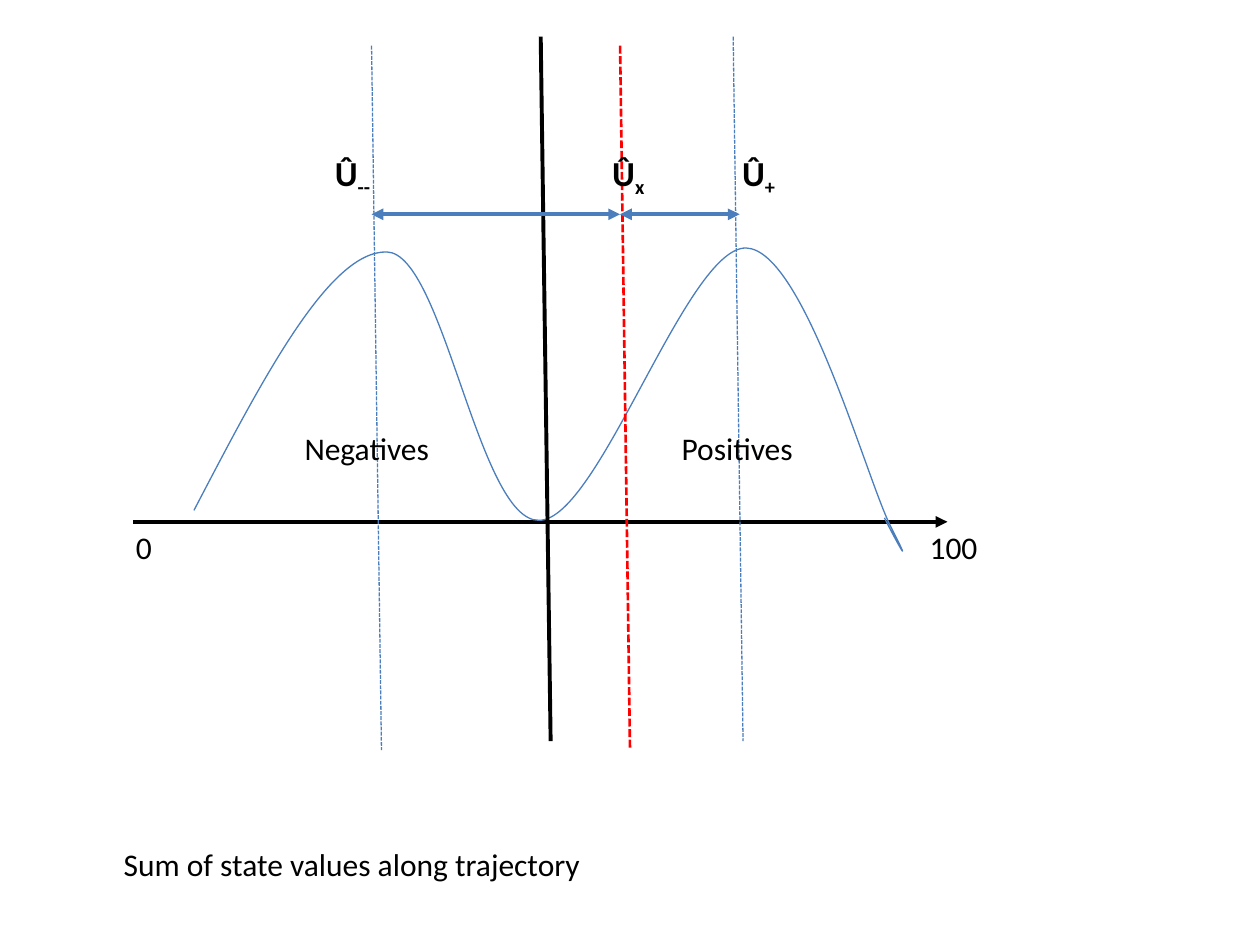
from lxml.etree import SubElement as Sub
from pptx import Presentation
from pptx.dml.color import RGBColor as Rgb
from pptx.enum.dml import MSO_LINE as Dash
from pptx.enum.shapes import MSO_CONNECTOR as Link
from pptx.enum.text import MSO_AUTO_SIZE as Auto, PP_ALIGN as Align
from pptx.oxml.ns import qn
from pptx.util import Cm, Pt

HUES = {"ink": "000000", "blue": "4B7EBC", "red": "FF0000"}
FACE = "Calibri"
CURVE = [
    (1.22, 9.55),
    (2.59, 6.93), (3.94, 4.31), (5.11, 4.34),
    (6.25, 4.37), (6.96, 9.78), (8.18, 9.75),
    (9.38, 9.75), (11.15, 4.24), (12.35, 4.26),
    (13.52, 4.29), (14.79, 8.96), (15.27, 9.88),
    (15.73, 10.79), (15.42, 10.26), (15.14, 9.7),
]


def hue(name):
    return Rgb.from_string(HUES[name])


def style(font, size, bold=False):
    font.name, font.size, font.bold = FACE, Pt(size), bold
    font.color.rgb = hue("ink")


def stroke(shape, color, width, dash=None):
    shape.line.color.rgb = hue(color)
    shape.line.width = Pt(width)
    if dash:
        shape.line.dash_style = dash


def add_line(shapes, start, end, color, width, dash=None, tips=()):
    link = shapes.add_connector(Link.STRAIGHT, *map(Cm, start + end))
    stroke(link, color, width, dash)
    props = link._element.spPr
    for tip in tips:
        Sub(props.find(qn("a:ln")), qn("a:" + tip), type="triangle")
    Sub(props, qn("a:effectLst"))


def add_text(shapes, left, top, width, height=1.02):
    frame = shapes.add_textbox(*map(Cm, (left, top, width, height))).text_frame
    frame.word_wrap = True
    frame.auto_size = Auto.SHAPE_TO_FIT_TEXT
    return frame.paragraphs[0]


def add_plain(shapes, text, left, top, width, align=Align.LEFT):
    para = add_text(shapes, left, top, width)
    para.text, para.alignment = text, align
    style(para.font, 18)


def add_mean(shapes, sub, left, top):
    para = add_text(shapes, left, top, 1.6, 1.12)
    for text in ("Û", sub):
        run = para.add_run()
        run.text = text
        style(run.font, 20, True)
    run._r.get_or_add_rPr().set("baseline", "-25000")


def add_curve(shapes, points):
    spots = [(Cm(x), Cm(y)) for x, y in points]
    pen = shapes.build_freeform(*spots[0])
    pen.add_line_segments(spots[1:], close=False)
    curve = pen.convert_to_shape()
    curve.fill.background()
    curve.shadow.inherit = False
    stroke(curve, "blue", 0.75)
    steps = list(curve._element.iter(qn("a:lnTo")))
    route = steps[0].getparent()
    for i in range(0, len(steps), 3):
        bend = Sub(route, qn("a:cubicBezTo"))
        for step in steps[i:i + 3]:
            bend.append(step[0])
            route.remove(step)


def add_graph(slide, left, top, width, height):
    shapes = slide.shapes.add_group_shape().shapes
    base, span = top + 9.78, top + 3.58
    low, cut, high = left + 4.8, left + 9.81, left + 12.09

    def add_rule(x, y, color, weight, dash=None):
        add_line(shapes, (x, y), (x + 0.2, y + height - 0.18), color, weight, dash)

    add_line(shapes, (left, base), (left + width, base), "ink", 2.25, tips=("tailEnd",))
    add_curve(shapes, [(left + x, top + y) for x, y in CURVE])
    add_rule(left + 8.21, top, "ink", 2.25)
    add_rule(high, top, "blue", 0.75, Dash.SQUARE_DOT)
    add_rule(low, top + 0.18, "blue", 0.75, Dash.SQUARE_DOT)
    for text, x, y, wide in (
        ("Negatives", 3.2, 7.79, 3.61),
        ("Positives", 10.8, 7.79, 3.61),
        ("0", -0.2, 9.78, 1),
        ("100", 15.8, 9.78, 1.6),
    ):
        add_plain(shapes, text, left + x, top + y, wide)
    add_rule(cut, top + 0.18, "red", 1.5, Dash.SQUARE_DOT)
    for start, end in ((low, cut), (cut, high + 0.13)):
        add_line(shapes, (start, span), (end, span), "blue", 2.25,
                 tips=("headEnd", "tailEnd"))
    for sub, x in (("+", 12.02), ("--", 3.81), ("x", 9.4)):
        add_mean(shapes, sub, left + x, top + 2.18)


def add_note(slide, left, top, width):
    add_plain(slide.shapes, "Sum of state values along trajectory",
              left, top, width, Align.CENTER)


deck = Presentation()
deck.slide_width, deck.slide_height = Cm(25.4), Cm(19.05)
slide = deck.slides.add_slide(deck.slide_layouts[6])
add_graph(slide, 2.69, 0.74, 16.41, 14.38)
add_note(slide, 1.9, 16.92, 10.39)
deck.save("out.pptx")
